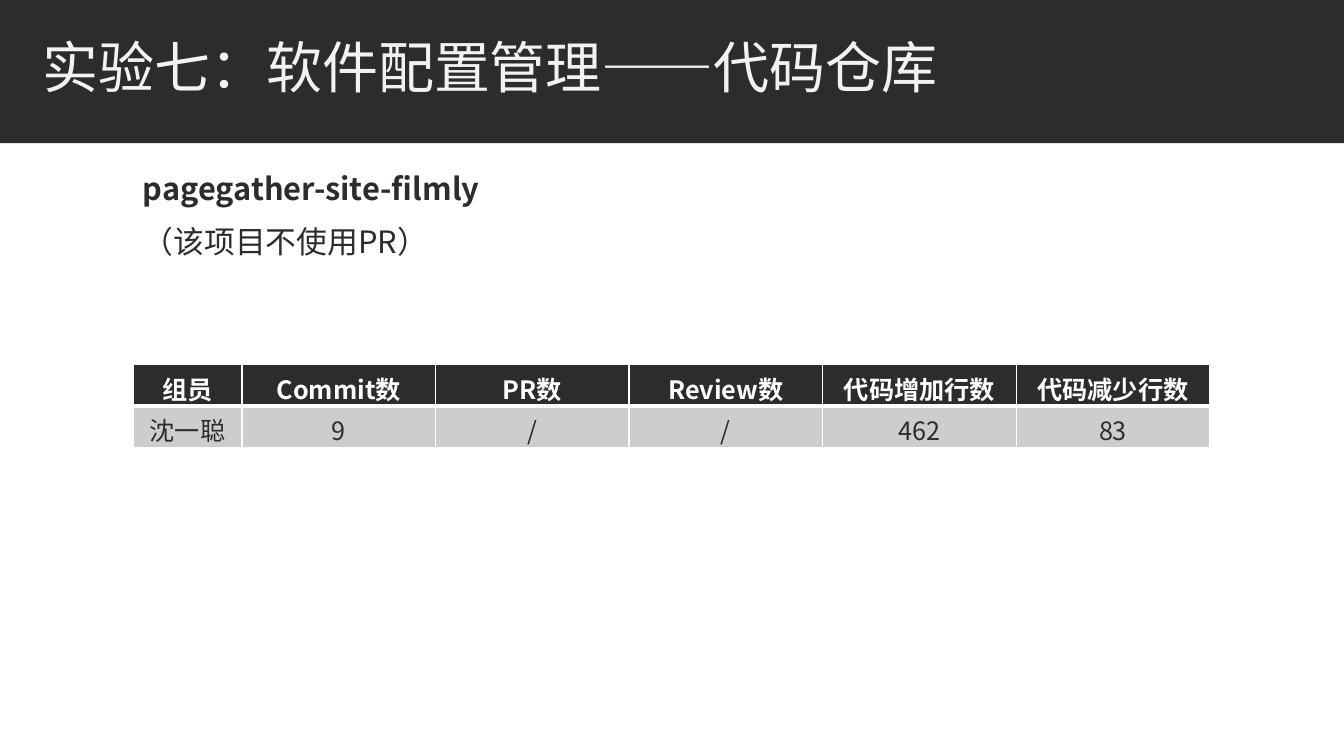
from dataclasses import dataclass

from lxml import etree
from pptx import Presentation
from pptx.dml.color import RGBColor
from pptx.enum.shapes import MSO_SHAPE
from pptx.enum.text import MSO_ANCHOR, MSO_AUTO_SIZE, PP_ALIGN
from pptx.oxml.ns import qn
from pptx.util import Inches, Pt

RECTANGLE = MSO_SHAPE.RECTANGLE
MIDDLE, TOP = MSO_ANCHOR.MIDDLE, MSO_ANCHOR.TOP
NO_AUTOFIT = MSO_AUTO_SIZE.NONE
LEFT, CENTER = PP_ALIGN.LEFT, PP_ALIGN.CENTER

COLORS = {"dark": "2C2C2C", "title": "F2F2F2", "white": "FFFFFF", "row": "CDCDCD"}
FONT = "Noto Sans CJK SC"
TITLE_ONLY_LAYOUT = 5
CONTENT_LEFT, CONTENT_WIDTH = 1.32, 10.7
ROW_HEIGHT = 0.41
COLUMN_WIDTHS = [1.08] + [1.92] * 5
MEMBER_ROWS = [
    ["组员", "Commit数", "PR数", "Review数", "代码增加行数", "代码减少行数"],
    ["沈一聪", "9", "/", "/", "462", "83"],
]


@dataclass(frozen=True)
class TextStyle:
    size: int
    color: str
    bold: bool = False


@dataclass(frozen=True)
class RowStyle:
    fill: str
    text: TextStyle
    top_border: int
    bottom_border: int


TITLE_STYLE = TextStyle(40, "title")
PROJECT_LINES = [
    ("pagegather-site-filmly", TextStyle(22, "dark", True)),
    ("（该项目不使用PR）", TextStyle(22, "dark")),
]
ROW_STYLES = [
    RowStyle("dark", TextStyle(18, "white", True), 1, 3),
    RowStyle("row", TextStyle(18, "dark"), 3, 1),
]


def rgb(name: str) -> RGBColor:
    """Return the named colour."""
    return RGBColor.from_string(COLORS[name])


def add_run(paragraph, text: str, style: TextStyle) -> None:
    """Add one styled run with matching Latin and East Asian fonts."""
    run = paragraph.add_run()
    run.text = text
    run.font.size = Pt(style.size)
    run.font.bold = style.bold
    run.font.color.rgb = rgb(style.color)
    run.font.name = FONT
    properties = run._r.get_or_add_rPr()
    etree.SubElement(properties, qn("a:ea"), typeface=FONT)


def add_title(slide) -> None:
    """Place the title over its dark band."""
    title = slide.shapes.title
    band = slide.shapes.add_shape(RECTANGLE, 0, 0, Inches(13.33), Inches(1.42))
    band.shadow.inherit = False
    band.fill.solid()
    band.fill.fore_color.rgb = rgb("dark")
    band.line.fill.background()
    title.element.addprevious(band.element)
    title.left, title.top = Inches(0.32), Inches(0.26)
    title.width, title.height = Inches(10.7), Inches(0.9)
    frame = title.text_frame
    frame.auto_size = NO_AUTOFIT
    frame.vertical_anchor = MIDDLE
    paragraph = frame.paragraphs[0]
    paragraph.alignment = LEFT
    paragraph.line_spacing = 0.85
    add_run(paragraph, "实验七：软件配置管理——代码仓库", TITLE_STYLE)


def add_project_text(slide) -> None:
    """Add the project name and its note."""
    box = slide.shapes.add_textbox(
        Inches(CONTENT_LEFT), Inches(1.68), Inches(CONTENT_WIDTH), Inches(1.37)
    )
    frame = box.text_frame
    frame.word_wrap = True
    frame.vertical_anchor = TOP
    for index, (text, style) in enumerate(PROJECT_LINES):
        paragraph = frame.add_paragraph() if index else frame.paragraphs[0]
        paragraph.line_spacing = 0.9
        paragraph.space_before = Pt(12)
        paragraph.space_after = Pt(2)
        add_run(paragraph, text, style)


def add_borders(cell, top: int, bottom: int) -> None:
    """Draw white borders around a cell, widths in points."""
    properties = cell._tc.get_or_add_tcPr()
    for tag, width in (("lnL", 1), ("lnR", 1), ("lnT", top), ("lnB", bottom)):
        line = etree.SubElement(properties, qn(f"a:{tag}"), w=str(Pt(width)))
        fill = etree.SubElement(line, qn("a:solidFill"))
        etree.SubElement(fill, qn("a:srgbClr"), val=COLORS["white"])


def add_member_table(slide) -> None:
    """Add the table of contributions by member."""
    table = slide.shapes.add_table(
        len(MEMBER_ROWS), len(COLUMN_WIDTHS), Inches(CONTENT_LEFT), Inches(3.62),
        Inches(CONTENT_WIDTH), Inches(ROW_HEIGHT * len(MEMBER_ROWS)),
    ).table
    for column, width in zip(table.columns, COLUMN_WIDTHS):
        column.width = Inches(width)
    for row, values, style in zip(table.rows, MEMBER_ROWS, ROW_STYLES):
        row.height = Inches(ROW_HEIGHT)
        for cell, value in zip(row.cells, values):
            add_borders(cell, style.top_border, style.bottom_border)
            cell.fill.solid()
            cell.fill.fore_color.rgb = rgb(style.fill)
            paragraph = cell.text_frame.paragraphs[0]
            paragraph.alignment = CENTER
            add_run(paragraph, value, style.text)


def main() -> None:
    """Build and save the presentation."""
    presentation = Presentation()
    presentation.slide_width = Inches(13.33)
    presentation.slide_height = Inches(7.5)
    slide = presentation.slides.add_slide(presentation.slide_layouts[TITLE_ONLY_LAYOUT])
    add_title(slide)
    add_project_text(slide)
    add_member_table(slide)
    presentation.save("out.pptx")


if __name__ == "__main__":
    main()
